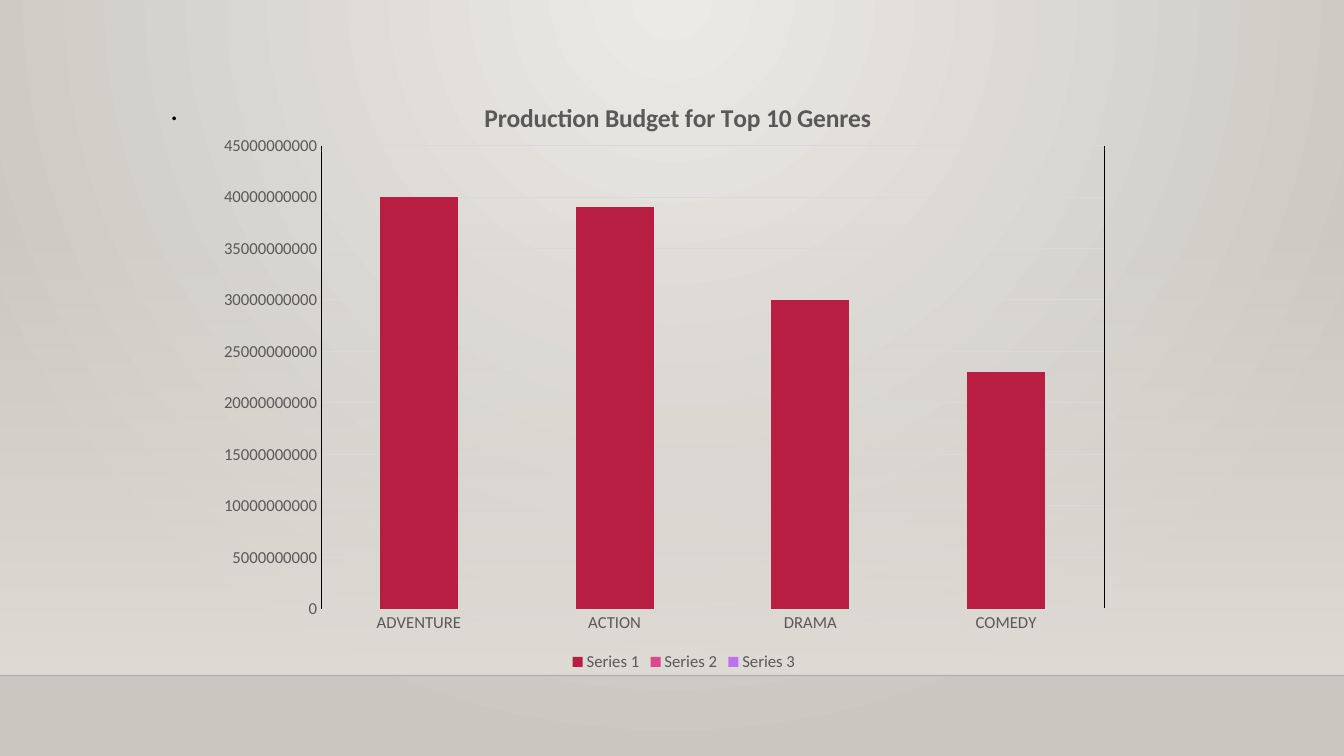
from dataclasses import dataclass

from lxml import etree
from pptx import Presentation
from pptx import util as u
from pptx.chart import data as chart_data
from pptx.dml import color
from pptx.enum import chart as chart_enum
from pptx.enum import shapes, text
from pptx.oxml import ns


@dataclass(frozen=True)
class Theme:
    font: str = "Calibri"
    glow: str = "ECEAE7"
    edge: str = "CAC7C1"
    haze: str = "DFDBD5"
    floor_line: str = "000001"
    ink: str = "000000"
    label: str = "595959"
    grid: str = "D9D9D9"
    series: tuple = ("B71E42", "DE478E", "BC72F0")
    title_size: float = 22
    chart_title_size: float = 18.3
    label_size: float = 12


THEME = Theme()
SLIDE_WIDTH, SLIDE_HEIGHT = 960, 540
FLOOR_TOP = 482.5
GENRES = ("ADVENTURE", "ACTION", "DRAMA", "COMEDY")
BUDGETS = {
    "Series 1": (40e9, 39e9, 30e9, 23e9),
    "Series 2": (0, 0, 0, 0),
    "Series 3": (0, 0, 0, 0),
}


def points(*lengths):
    return [u.Pt(length) for length in lengths]


def rgb(value):
    return color.RGBColor.from_string(value)


def apply(target, **values):
    for name, value in values.items():
        setattr(target, name, value)


def style_font(font, size, tint, bold=False):
    apply(font, name=THEME.font, size=u.Pt(size), bold=bold)
    font.color.rgb = rgb(tint)


def style_line(line, tint, width):
    line.color.rgb = rgb(tint)
    line.width = u.Pt(width)


def add_node(parent, tag, **attributes):
    return etree.SubElement(parent, ns.qn(tag), attributes)


def set_gradient(fill, owner, stops):
    fill.gradient()
    gradient = owner.xpath(".//a:gradFill")[0]
    gradient.clear()
    gradient.set("rotWithShape", "1")
    stop_list = add_node(gradient, "a:gsLst")
    for position, tint, opacity in stops:
        stop = add_node(stop_list, "a:gs", pos=str(position * 1000))
        swatch = add_node(stop, "a:srgbClr", val=tint)
        add_node(swatch, "a:alpha", val=str(opacity * 1000))
    return gradient


def paint_background(slide):
    stops = [(0, THEME.glow, 100), (100, THEME.edge, 100)]
    gradient = set_gradient(slide.background.fill, slide.element, stops)
    glow = add_node(gradient, "a:path", path="circle")
    add_node(glow, "a:fillToRect", l="43000", t="0", r="43000", b="100000")


def add_haze(slide):
    haze = slide.shapes.add_shape(
        shapes.MSO_SHAPE.RECTANGLE, *points(0, 159, SLIDE_WIDTH, FLOOR_TOP - 159)
    )
    haze.shadow.inherit = False
    haze.line.fill.background()
    stops = [(0, THEME.haze, 0), (100, THEME.haze, 100)]
    gradient = set_gradient(haze.fill, haze.element, stops)
    add_node(gradient, "a:lin", ang="5400000", scaled="0")


def add_line(slide, start, end, tint, width, opacity=100):
    line = slide.shapes.add_connector(
        shapes.MSO_CONNECTOR.STRAIGHT, *points(*start, *end)
    )
    style_line(line.line, tint, width)
    swatch = line.element.xpath(".//a:ln//a:srgbClr")[0]
    add_node(swatch, "a:alpha", val=str(opacity * 1000))
    add_node(line.element.spPr, "a:effectLst")


def fill_title(title):
    left, top, width, height = points(114.5, 63.4, 756, 82.8)
    apply(title, left=left, top=top, width=width, height=height)
    apply(
        title.text_frame,
        text=".",
        word_wrap=True,
        vertical_anchor=text.MSO_ANCHOR.TOP,
    )
    paragraph = title.text_frame.paragraphs[0]
    apply(paragraph, alignment=text.PP_ALIGN.LEFT, line_spacing=0.9)
    style_font(paragraph.runs[0].font, THEME.title_size, THEME.ink)


def place(part, index, modes, **fractions):
    for layout in part.findall(ns.qn("c:layout")):
        part.remove(layout)
    layout = etree.Element(ns.qn("c:layout"))
    part.insert(index, layout)
    manual = add_node(layout, "c:manualLayout")
    for tag, value in {**modes, **fractions}.items():
        add_node(manual, f"c:{tag}", val=str(value))


def style_axes(chart):
    genres, budget = chart.category_axis, chart.value_axis
    for axis in (genres, budget):
        apply(
            axis,
            major_tick_mark=chart_enum.XL_TICK_MARK.NONE,
            minor_tick_mark=chart_enum.XL_TICK_MARK.NONE,
        )
        style_font(axis.tick_labels.font, THEME.label_size, THEME.label)
    apply(
        budget,
        minimum_scale=0,
        maximum_scale=45e9,
        major_unit=5e9,
        has_major_gridlines=True,
    )
    apply(budget.tick_labels, number_format="0", number_format_is_linked=False)
    style_line(genres.format.line, THEME.grid, 0.75)
    style_line(budget.format.line, THEME.ink, 0.75)
    style_line(budget.major_gridlines.format.line, THEME.grid, 0.75)


def add_budget_chart(slide):
    budgets = chart_data.CategoryChartData(number_format="0")
    budgets.categories = GENRES
    for name, values in BUDGETS.items():
        budgets.add_series(name, values)
    chart = slide.shapes.add_chart(
        chart_enum.XL_CHART_TYPE.COLUMN_STACKED,
        *points(160, 56.6, 640, 427),
        budgets,
    ).chart
    style_font(chart.font, 10, THEME.ink)

    heading = chart.chart_title
    heading.text_frame.text = "Production Budget for Top 10 Genres"
    run = heading.text_frame.paragraphs[0].runs[0]
    style_font(run.font, THEME.chart_title_size, THEME.label, bold=True)
    edges = {"xMode": "edge", "yMode": "edge"}
    place(heading.element, 1, edges, x=0.282, y=0.028)
    plot_area = chart.element.xpath(".//c:plotArea")[0]
    inner = {"layoutTarget": "inner", **edges}
    place(plot_area, 0, inner, x=0.104, y=0.111, w=0.878, h=0.775)

    plot = chart.plots[0]
    apply(plot, gap_width=150, overlap=100, vary_by_categories=False)
    for series, tint in zip(plot.series, THEME.series):
        series.format.fill.solid()
        series.format.fill.fore_color.rgb = rgb(tint)
    style_axes(chart)

    chart.has_legend = True
    apply(
        chart.legend,
        position=chart_enum.XL_LEGEND_POSITION.BOTTOM,
        include_in_layout=False,
    )
    style_font(chart.legend.font, THEME.label_size, THEME.label)
    legend = chart.element.xpath(".//c:legend")[0]
    place(legend, 1, edges, x=0.38, y=0.956)


def main():
    deck = Presentation()
    width, height = points(SLIDE_WIDTH, SLIDE_HEIGHT)
    apply(deck, slide_width=width, slide_height=height)
    slide = deck.slides.add_slide(deck.slide_layouts[5])
    paint_background(slide)
    fill_title(slide.shapes.title)
    add_haze(slide)
    floor_ends = (0, FLOOR_TOP), (SLIDE_WIDTH, FLOOR_TOP)
    add_line(slide, *floor_ends, THEME.floor_line, 1, opacity=20)
    add_line(slide, (788.8, 104.3), (788.8, 434.6), THEME.ink, 0.75)
    add_budget_chart(slide)
    deck.save("out.pptx")


main()
